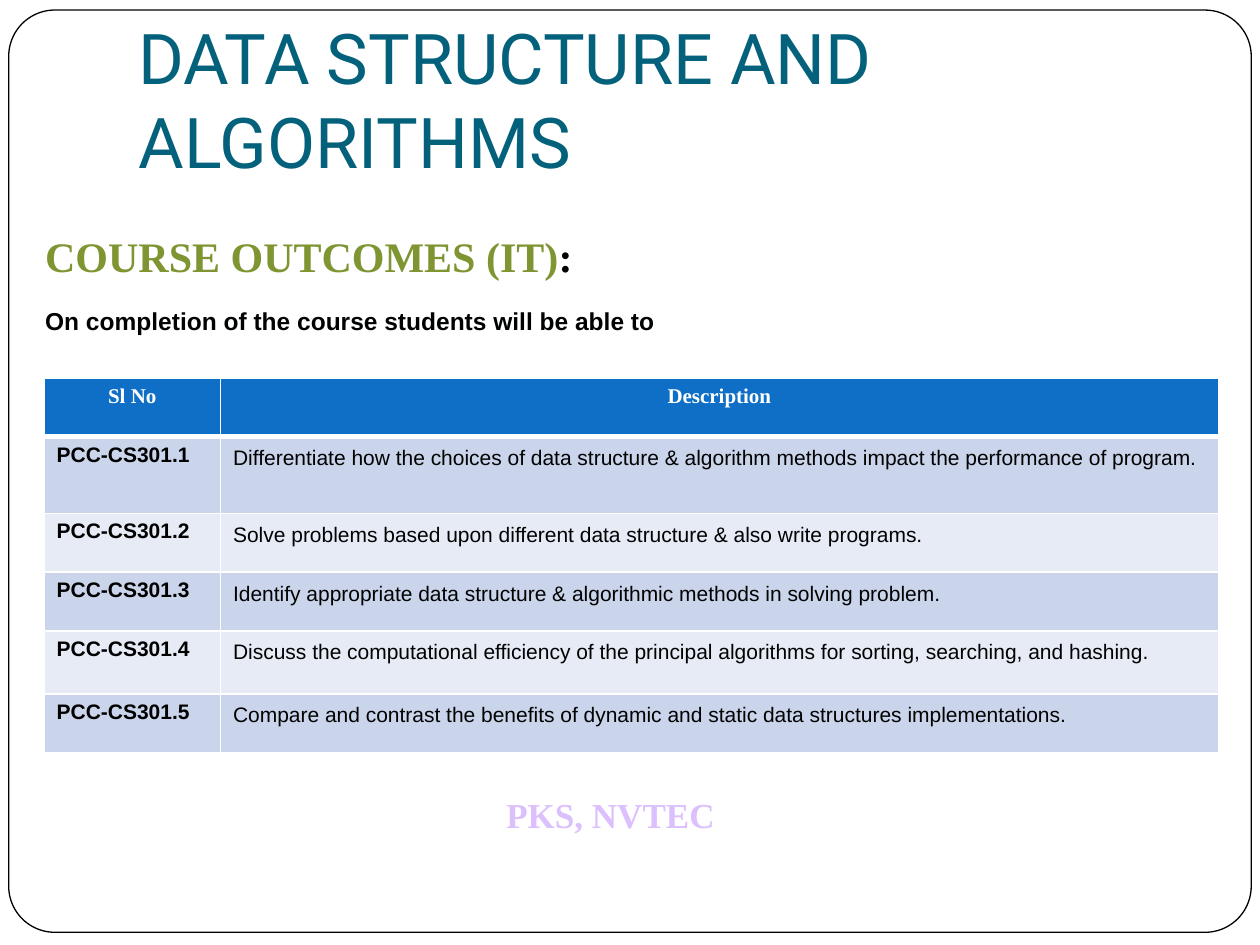
from dataclasses import dataclass

from lxml.etree import SubElement
from pptx import Presentation
from pptx.dml.color import RGBColor
from pptx.enum.shapes import MSO_SHAPE
from pptx.enum.text import MSO_ANCHOR, MSO_AUTO_SIZE, PP_ALIGN
from pptx.oxml.ns import qn
from pptx.slide import Slide
from pptx.table import _Cell
from pptx.text.text import TextFrame, _Paragraph
from pptx.util import Pt

WHITE = RGBColor(0xFF, 0xFF, 0xFF)
BLACK = RGBColor(0x00, 0x00, 0x00)
INK = RGBColor(0x01, 0x02, 0x02)
TEAL = RGBColor(0x04, 0x61, 0x7B)
OLIVE = RGBColor(0x7E, 0x95, 0x32)
LILAC = RGBColor(0xDC, 0xC0, 0xFD)
HEADER_BLUE = RGBColor(0x0F, 0x6F, 0xC6)
BANDS = (RGBColor(0xCA, 0xD4, 0xEA), RGBColor(0xE6, 0xEB, 0xF5))


@dataclass(frozen=True)
class Style:
    font: str
    size: float
    color: RGBColor
    bold: bool = False


@dataclass(frozen=True)
class Outcome:
    number: int
    description: str
    height: float


TITLE = Style("Roboto", 40, TEAL)
FOOTER = Style("Times New Roman", 20, LILAC, True)
HEADING = Style("Times New Roman", 24, OLIVE, True)
COLON = Style("Times New Roman", 24, BLACK, True)
INTRO = Style("Arial", 14, INK, True)
HEADER = Style("Times New Roman", 12, WHITE, True)
CODE = Style("Arial", 12, BLACK, True)
BODY = Style("Arial", 12, INK)

HEADER_HEIGHT = 33.6
COLUMN_WIDTHS = (100.8, 570.24)
OUTCOMES = (
    Outcome(1, "Differentiate how the choices of data structure & algorithm methods "
            "impact the performance of program.", 43.8),
    Outcome(2, "Solve problems based upon different data structure & also write programs.", 33.6),
    Outcome(3, "Identify appropriate data structure & algorithmic methods in solving problem.", 33.6),
    Outcome(4, "Discuss the computational efficiency of the principal algorithms for "
            "sorting, searching, and hashing.", 36),
    Outcome(5, "Compare and contrast the benefits of dynamic and static data structures "
            "implementations.", 33.6),
)


def add_run(p: _Paragraph, text: str, style: Style) -> None:
    r = p.add_run()
    r.text = text
    r.font.name = style.font
    r.font.size = Pt(style.size)
    r.font.bold = style.bold
    r.font.color.rgb = style.color


def space_out(p: _Paragraph) -> None:
    p.line_spacing = 1.15
    p.space_before = p.space_after = Pt(12)


def add_text_box(s: Slide, left: float, top: float, width: float, height: float) -> TextFrame:
    tf = s.shapes.add_textbox(Pt(left), Pt(top), Pt(width), Pt(height)).text_frame
    tf.word_wrap = True
    return tf


def add_frame(s: Slide) -> None:
    sp = s.shapes.add_shape(MSO_SHAPE.ROUNDED_RECTANGLE, Pt(5), Pt(5.76), Pt(710), Pt(527))
    sp.adjustments[0] = 0.05
    sp.shadow.inherit = False
    sp.fill.solid()
    sp.fill.fore_color.rgb = WHITE
    sp.line.color.rgb = BLACK
    sp.line.width = Pt(0.75)


def format_title(s: Slide) -> None:
    sp = s.shapes.title
    sp.element.getparent().append(sp.element)
    sp.left, sp.top, sp.width, sp.height = Pt(72), Pt(21.6), Pt(612), Pt(90)
    tf = sp.text_frame
    tf.auto_size = MSO_AUTO_SIZE.NONE
    tf.word_wrap = True
    tf.vertical_anchor = MSO_ANCHOR.BOTTOM
    tf.margin_bottom = Pt(7.2)
    p = tf.paragraphs[0]
    p.alignment = PP_ALIGN.LEFT
    add_run(p, "DATA STRUCTURE AND ALGORITHMS", TITLE)


def add_intro(s: Slide) -> None:
    tf = add_text_box(s, 18.72, 128.16, 512.64, 46)
    add_run(tf.paragraphs[0], "COURSE OUTCOMES (IT)", HEADING)
    add_run(tf.paragraphs[0], ":", COLON)
    p = tf.add_paragraph()
    space_out(p)
    add_run(p, "On completion of the course students will be able to", INTRO)


def set_borders(cell: _Cell, top: float, bottom: float) -> None:
    tc_pr = cell._tc.get_or_add_tcPr()
    for side, width in (("L", 1), ("R", 1), ("T", top), ("B", bottom)):
        ln = SubElement(tc_pr, qn(f"a:ln{side}"), w=str(Pt(width)))
        fill = SubElement(ln, qn("a:solidFill"))
        SubElement(fill, qn("a:srgbClr"), val=str(WHITE))


def fill_cell(cell: _Cell, text: str, style: Style, color: RGBColor,
              top: float = 1, bottom: float = 1) -> _Paragraph:
    set_borders(cell, top, bottom)
    cell.fill.solid()
    cell.fill.fore_color.rgb = color
    p = cell.text_frame.paragraphs[0]
    add_run(p, text, style)
    return p


def add_outcome_table(s: Slide) -> None:
    heights = [HEADER_HEIGHT] + [o.height for o in OUTCOMES]
    table = s.shapes.add_table(len(heights), len(COLUMN_WIDTHS), Pt(25.2), Pt(216),
                               Pt(sum(COLUMN_WIDTHS)), Pt(sum(heights))).table
    for column, width in zip(table.columns, COLUMN_WIDTHS):
        column.width = Pt(width)
    for row, height in zip(table.rows, heights):
        row.height = Pt(height)
    for i, label in enumerate(("Sl No", "Description")):
        p = fill_cell(table.cell(0, i), label, HEADER, HEADER_BLUE, bottom=3)
        p.alignment = PP_ALIGN.CENTER
    for i, outcome in enumerate(OUTCOMES):
        band = BANDS[i % 2]
        top = 3 if i == 0 else 1
        fill_cell(table.cell(i + 1, 0), f"PCC-CS301.{outcome.number}", CODE, band, top)
        space_out(fill_cell(table.cell(i + 1, 1), outcome.description, BODY, band, top))


def main() -> None:
    prs = Presentation()
    prs.slide_width, prs.slide_height = Pt(720), Pt(540)
    s = prs.slides.add_slide(prs.slide_layouts[5])
    add_frame(s)
    footer = add_text_box(s, 282.24, 450, 167.76, 31.68)
    add_run(footer.paragraphs[0], "PKS, NVTEC", FOOTER)
    format_title(s)
    add_intro(s)
    add_outcome_table(s)
    prs.save("out.pptx")


if __name__ == "__main__":
    main()
